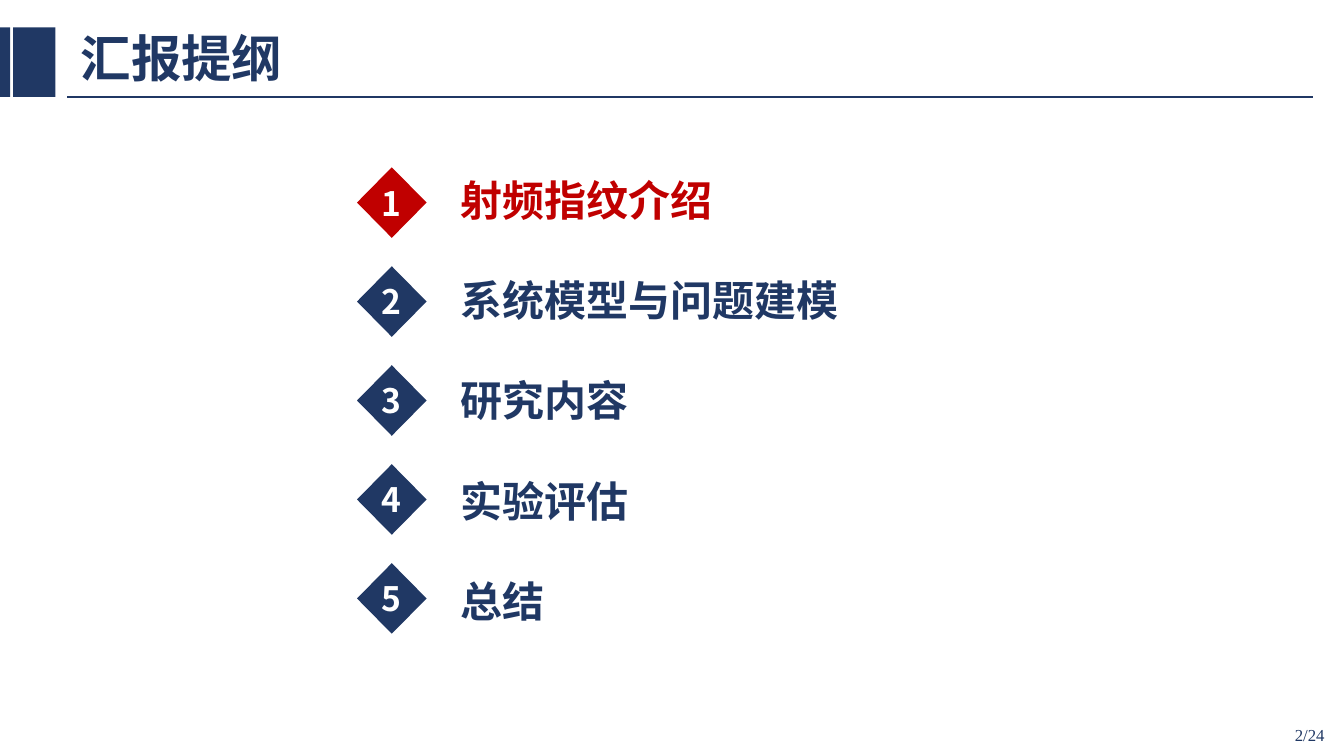
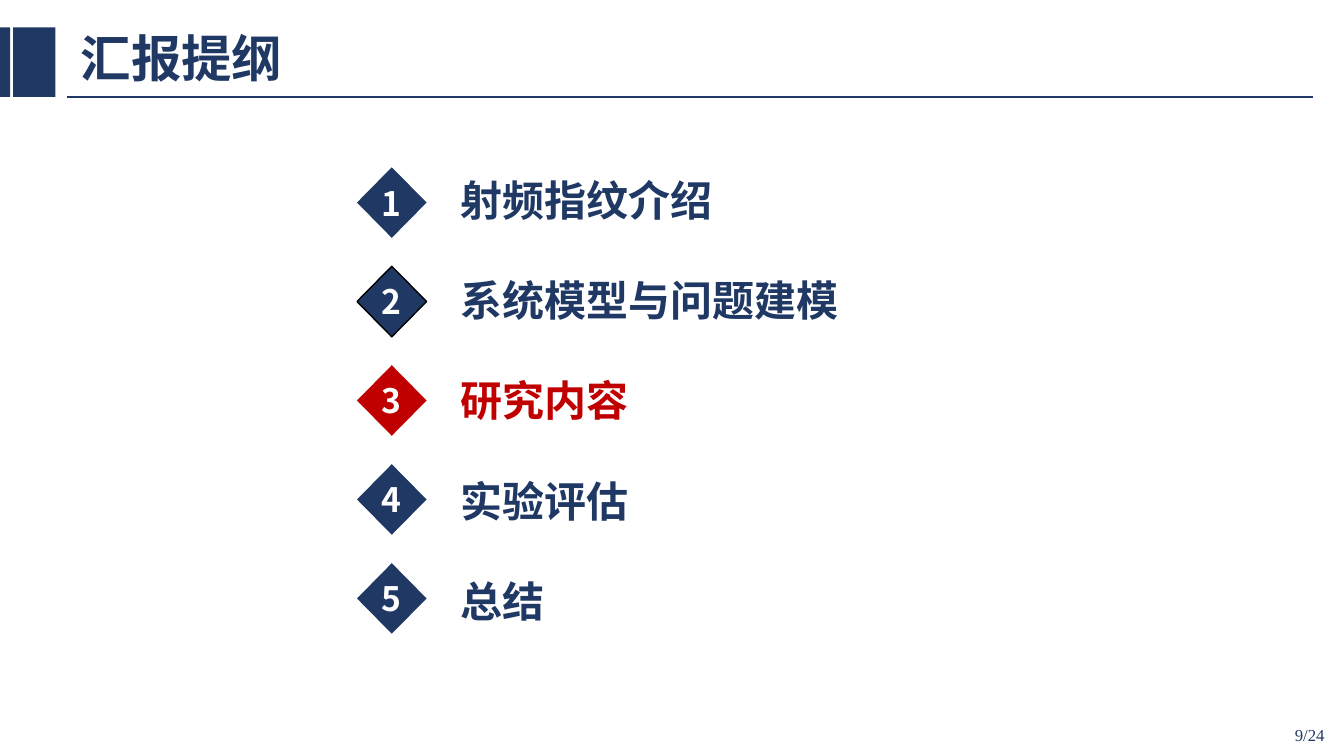
from lxml import etree
from pptx import Presentation
from pptx.dml.color import RGBColor
from pptx.enum import shapes, text
from pptx.oxml.ns import qn
from pptx.util import Pt

# Content
TITLE = "汇报提纲"
TOPICS = ["射频指纹介绍", "系统模型与问题建模", "研究内容", "实验评估", "总结"]
PAGES = [
    {"number": "2/24", "current": 1, "outlined": None},
    {"number": "9/24", "current": 3, "outlined": 2},
]

# Shared style
NAVY, RED, WHITE, BLACK = "203864", "C00000", "FFFFFF", "000000"
SANS, SERIF = "Noto Sans CJK SC", "Times New Roman"
BANDS = [(0, 7.2), (9.4, 30.2)]  # left, width
BAND_TOP, BAND_HEIGHT = 19.5, 49.7
RULE_LEFT, RULE_RIGHT, RULE_TOP = 48.2, 938.2, 69.2

# Agenda grid
DIAMOND_LEFT, DIAMOND_TOP, DIAMOND_PITCH = 255, 119.5, 70.7
DIAMOND_WIDTH, DIAMOND_HEIGHT = 49.7, 50.4
TOPIC_LEFT, TOPIC_TOP, TOPIC_PITCH = 322, 121, 71.6
TOPIC_WIDTH, TOPIC_HEIGHT = 457, 44


def color(value):
    return RGBColor.from_string(value)


def points(*lengths):
    return [Pt(length) for length in lengths]


def write(box, words, size, ink, font=SANS, bold=True,
          align=text.PP_ALIGN.LEFT, anchor=text.MSO_ANCHOR.MIDDLE):
    frame = box.text_frame
    frame.text = words
    frame.word_wrap = True
    frame.auto_size = text.MSO_AUTO_SIZE.NONE
    frame.vertical_anchor = anchor
    para = frame.paragraphs[0]
    para.alignment = align
    para.font.size = Pt(size)
    para.font.bold = bold
    para.font.color.rgb = color(ink)
    para.font.name = font
    # Chinese characters take the East Asian typeface
    defaults = para._p.pPr.find(qn("a:defRPr"))
    etree.SubElement(defaults, qn("a:ea")).set("typeface", font)
    return para


def add_solid(page, kind, place, fill, outline=None):
    shape = page.shapes.add_shape(kind, *points(*place))
    shape.shadow.inherit = False
    shape.fill.solid()
    shape.fill.fore_color.rgb = color(fill)
    if outline:
        shape.line.color.rgb = color(outline)
        shape.line.width = Pt(1)
    else:
        shape.line.fill.background()
    return shape


def add_frame(page, number):
    # Header bands and rule
    for left, width in BANDS:
        add_solid(page, shapes.MSO_SHAPE.RECTANGLE,
                  (left, BAND_TOP, width, BAND_HEIGHT), NAVY)
    rule = page.shapes.add_connector(
        shapes.MSO_CONNECTOR.STRAIGHT,
        *points(RULE_LEFT, RULE_TOP, RULE_RIGHT, RULE_TOP))
    rule.line.color.rgb = color(NAVY)
    rule.line.width = Pt(1)
    etree.SubElement(rule._element.spPr, qn("a:effectLst"))

    # Title
    title = page.shapes.title
    title.left, title.top, title.width, title.height = points(50.4, 15.1, 193.7, 57.6)
    write(title, TITLE, 36, NAVY).line_spacing = 0.9

    # Page number
    footer = page.shapes.add_textbox(*points(737.3, 510.5, 216, 28.8))
    write(footer, number, 12, NAVY, SERIF, False, text.PP_ALIGN.RIGHT)


def add_agenda(page, current, outlined):
    for index, topic in enumerate(TOPICS):
        number = index + 1
        accent = RED if number == current else NAVY
        diamond = add_solid(
            page, shapes.MSO_SHAPE.DIAMOND,
            (DIAMOND_LEFT, DIAMOND_TOP + index * DIAMOND_PITCH,
             DIAMOND_WIDTH, DIAMOND_HEIGHT),
            accent, BLACK if number == outlined else None)
        frame = diamond.text_frame
        frame.margin_left = frame.margin_right = 0
        frame.margin_top = frame.margin_bottom = 0
        write(diamond, str(number), 24, WHITE, align=text.PP_ALIGN.CENTER)

        label = page.shapes.add_textbox(*points(
            TOPIC_LEFT, TOPIC_TOP + index * TOPIC_PITCH, TOPIC_WIDTH, TOPIC_HEIGHT))
        write(label, topic, 30, accent, anchor=text.MSO_ANCHOR.TOP)


def main():
    deck = Presentation()
    deck.slide_width, deck.slide_height = points(960, 540)
    title_only = deck.slide_layouts[5]
    for content in PAGES:
        page = deck.slides.add_slide(title_only)
        add_frame(page, content["number"])
        add_agenda(page, content["current"], content["outlined"])
    deck.save("out.pptx")


if __name__ == "__main__":
    main()
